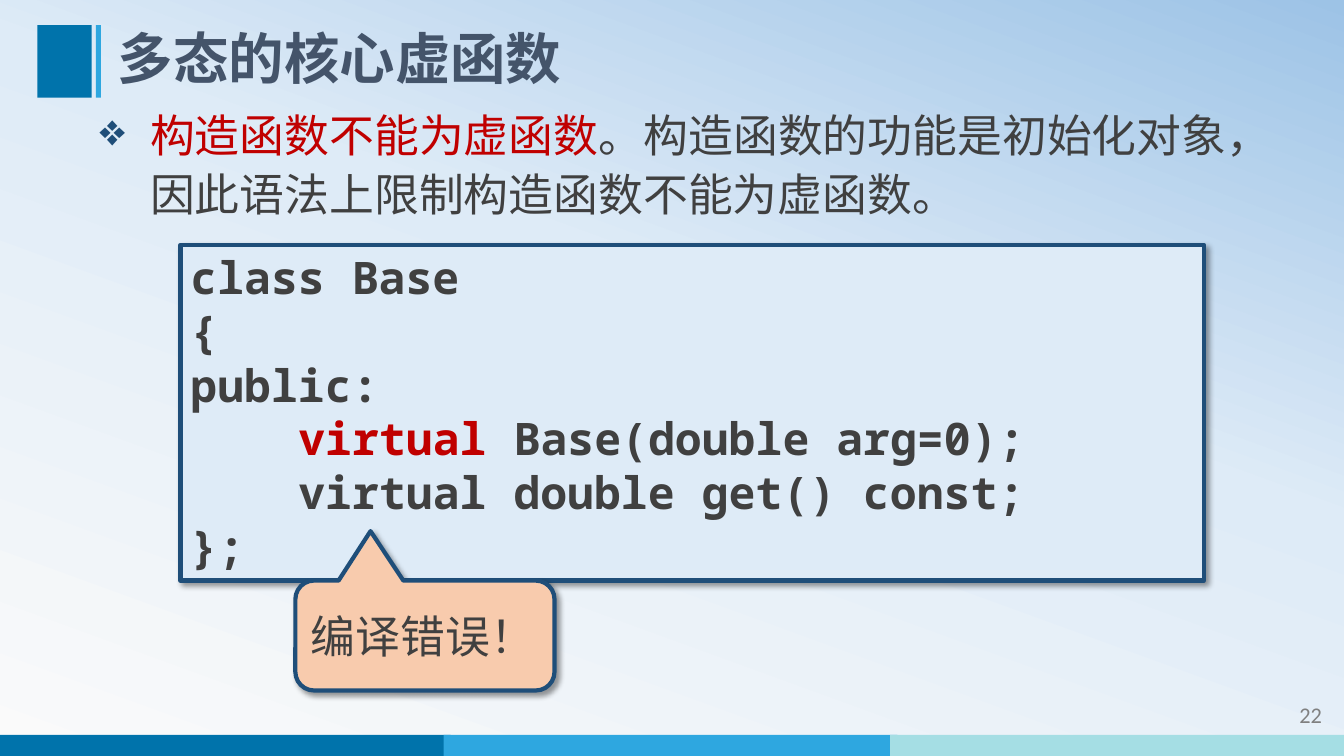
import copy
import pptx
import pptx.util
import pptx.dml.color
import pptx.enum.shapes
import pptx.enum.text
import pptx.oxml
import pptx.oxml.ns
from dataclasses import dataclass

Inches, Pt = pptx.util.Inches, pptx.util.Pt
SHAPE = pptx.enum.shapes.MSO_SHAPE
ANCHOR = pptx.enum.text.MSO_ANCHOR
ALIGN = pptx.enum.text.PP_ALIGN
qn = pptx.oxml.ns.qn


@dataclass
class Theme:
    dark: str = "0073AB"
    bright: str = "2EA7E0"
    pale: str = "A5DEE4"
    heading: str = "44546A"
    text: str = "404040"
    red: str = "C00000"
    navy: str = "1F4E79"
    panel: str = "DEEBF7"
    peach: str = "F8CBAD"
    gray: str = "808080"
    cjk: str = "Noto Sans CJK SC"
    mono: str = "Noto Sans Mono"
    latin: str = "Calibri"
    title_size: float = 39.6
    body_size: float = 32
    number_size: float = 16


theme = Theme()

# Content: runs are (text, colour)
TITLE = [("多态的核心虚函数", theme.heading)]
POINT = [
    ("构造函数不能为虚函数", theme.red),
    ("。构造函数的功能是初始化对象，因此语法上限制构造函数不能为虚函数。", theme.text),
]
CODE = [  # (indent level, runs)
    (0, [("class Base", theme.text)]),
    (0, [("{", theme.text)]),
    (0, [("public:", theme.text)]),
    (1, [("virtual", theme.red), (" Base(double arg=0);", theme.text)]),
    (1, [("virtual double get() const;", theme.text)]),
    (0, [("};", theme.text)]),
]
WARNING = [("编译错误！", theme.text)]
PAGE_NUMBER = [("22", theme.gray)]
BACKGROUND = [(0, "FAFAFA"), (0.58, "DEEBF7"), (1, "9DC3E6")]
FOOTER_COLORS = [theme.dark, theme.bright, theme.pale]
TITLE_MARKS = [(0.37, 0.54, theme.dark), (0.95, 0.05, theme.bright)]
CODE_INDENT = 1.07  # four monospaced characters


def rgb(value):
    return pptx.dml.color.RGBColor.from_string(value)


def xml(markup):
    namespace = pptx.oxml.ns.nsdecls("a")
    return pptx.oxml.parse_xml(markup.replace(" ", f" {namespace} ", 1))


def add_runs(para, runs, size, font, bold=False):
    for text, color in runs:
        span = para.add_run()
        span.text = text
        span.font.size = Pt(size)
        span.font.name = font
        span.font.bold = bold
        span.font.color.rgb = rgb(color)
        east_asian = xml(f'<a:ea typeface="{font}"/>')
        span.font._element.find(qn("a:latin")).addnext(east_asian)


def add_text(page, at, anchor=ANCHOR.TOP):
    box = page.shapes.add_textbox(*map(Inches, at))
    box.text_frame.word_wrap = True
    box.text_frame.vertical_anchor = anchor
    return box.text_frame


def add_block(page, kind, at, fill):
    block = page.shapes.add_shape(kind, *map(Inches, at))
    block.shadow.inherit = False
    block.fill.solid()
    block.fill.fore_color.rgb = rgb(fill)
    block.line.fill.background()
    return block


def add_panel(page, kind, at, fill, anchor):
    panel = add_block(page, kind, at, fill)
    panel.line.color.rgb = rgb(theme.navy)
    panel.line.width = Pt(3)
    panel._element.spPr.find(qn("a:effectLst")).append(xml(
        f'<a:outerShdw blurRad="{Pt(4)}" dist="{Pt(3)}" dir="2700000" algn="tl" '
        'rotWithShape="0"><a:srgbClr val="000000"><a:alpha val="40000"/>'
        '</a:srgbClr></a:outerShdw>'))
    panel.text_frame.word_wrap = True
    panel.text_frame.vertical_anchor = anchor
    return panel


def paint_background(page):
    fill = page.background.fill
    fill.gradient()
    fill.gradient_angle = 70
    first = fill.gradient_stops[0]._gs
    first.addnext(copy.deepcopy(first))
    for stop, (position, color) in zip(fill.gradient_stops, BACKGROUND):
        stop.position = position
        stop.color.rgb = rgb(color)


def main():
    deck = pptx.Presentation()
    deck.slide_width, deck.slide_height = Inches(13.33), Inches(7.5)
    page = deck.slides.add_slide(deck.slide_layouts[6])
    paint_background(page)

    # Footer bands and title marks
    for index, color in enumerate(FOOTER_COLORS):
        add_block(page, SHAPE.RECTANGLE, (-0.03 + 4.43 * index, 7.29, 4.5, 0.21), color)
    for left, width, color in TITLE_MARKS:
        add_block(page, SHAPE.RECTANGLE, (left, 0.25, width, 0.72), color)

    # Page number
    para = add_text(page, (11.62, 6.91, 1.59, 0.4)).paragraphs[0]
    para.alignment = ALIGN.RIGHT
    add_runs(para, PAGE_NUMBER, theme.number_size, theme.latin)

    # Title
    para = add_text(page, (1.07, 0.25, 10.86, 0.72), ANCHOR.MIDDLE).paragraphs[0]
    para.line_spacing = 0.9
    add_runs(para, TITLE, theme.title_size, theme.cjk, bold=True)

    # Bulleted statement
    para = add_text(page, (0.77, 0.97, 11.79, 1.86)).paragraphs[0]
    para.line_spacing = 1.1
    para.space_before = Pt(3.2)
    settings = para._p.get_or_add_pPr()
    settings.set("marL", str(Inches(0.62)))
    settings.set("indent", str(Inches(-0.5)))
    settings.append(xml(f'<a:buClr ><a:srgbClr val="{theme.navy}"/></a:buClr>'))
    settings.append(xml('<a:buChar char="❖"/>'))
    add_runs(para, POINT, theme.body_size, theme.cjk)

    # Code panel
    panel = add_panel(page, SHAPE.RECTANGLE, (1.79, 2.43, 10.15, 3.33),
                      theme.panel, ANCHOR.TOP)
    frame = panel.text_frame
    frame.auto_size = pptx.enum.text.MSO_AUTO_SIZE.SHAPE_TO_FIT_TEXT
    for index, (level, runs) in enumerate(CODE):
        para = frame.add_paragraph() if index else frame.paragraphs[0]
        para.alignment = ALIGN.LEFT
        para._p.get_or_add_pPr().set("marL", str(Inches(CODE_INDENT * level)))
        add_runs(para, runs, theme.body_size, theme.mono, bold=True)

    # Error callout
    callout = add_panel(page, SHAPE.ROUNDED_RECTANGULAR_CALLOUT,
                        (2.93, 5.76, 2.57, 1.09), theme.peach, ANCHOR.MIDDLE)
    for index, value in enumerate((-0.21, -0.95, 0.17)):
        callout.adjustments[index] = value
    para = callout.text_frame.paragraphs[0]
    para.alignment = ALIGN.LEFT
    add_runs(para, WARNING, theme.body_size, theme.cjk)

    deck.save("out.pptx")


if __name__ == "__main__":
    main()
